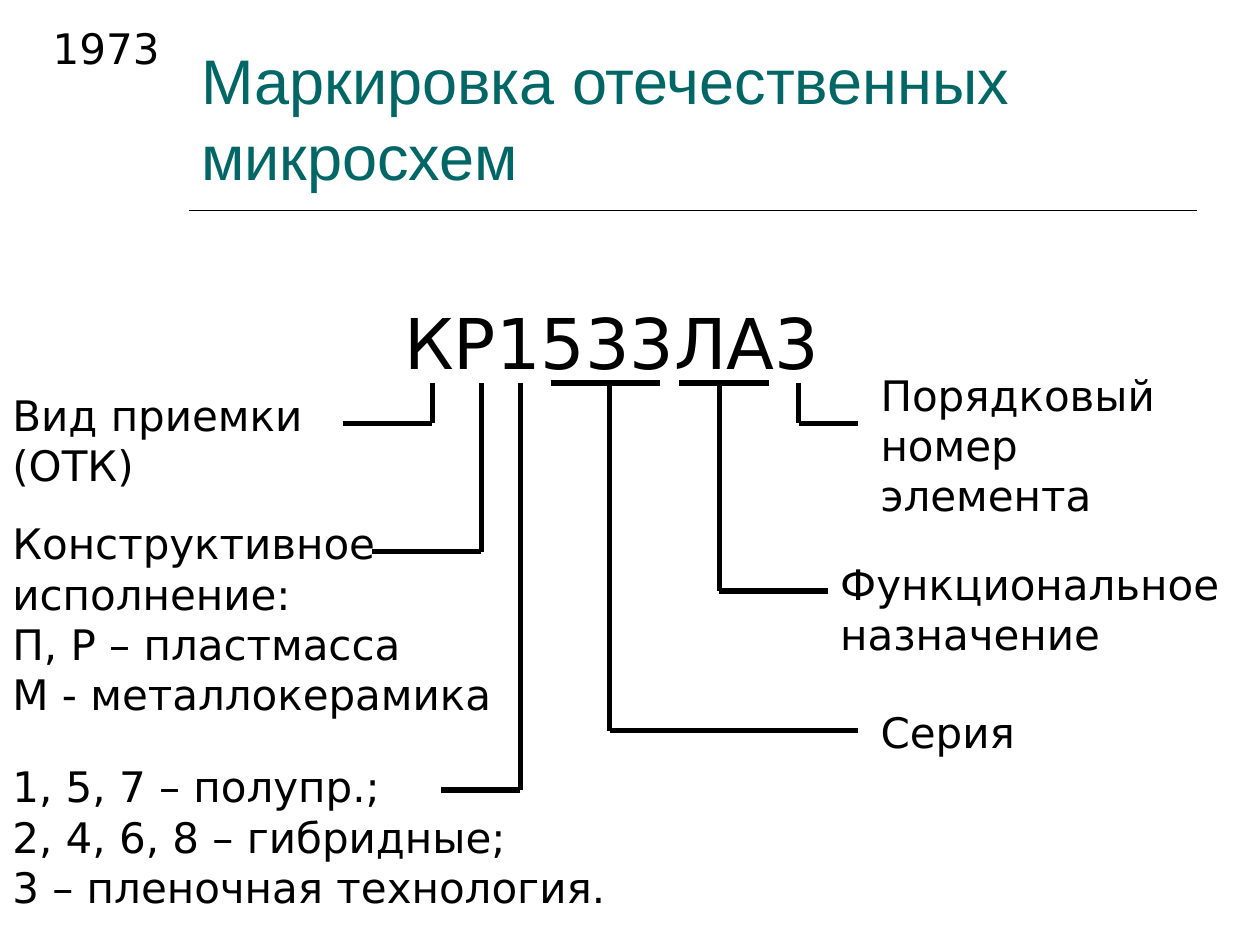
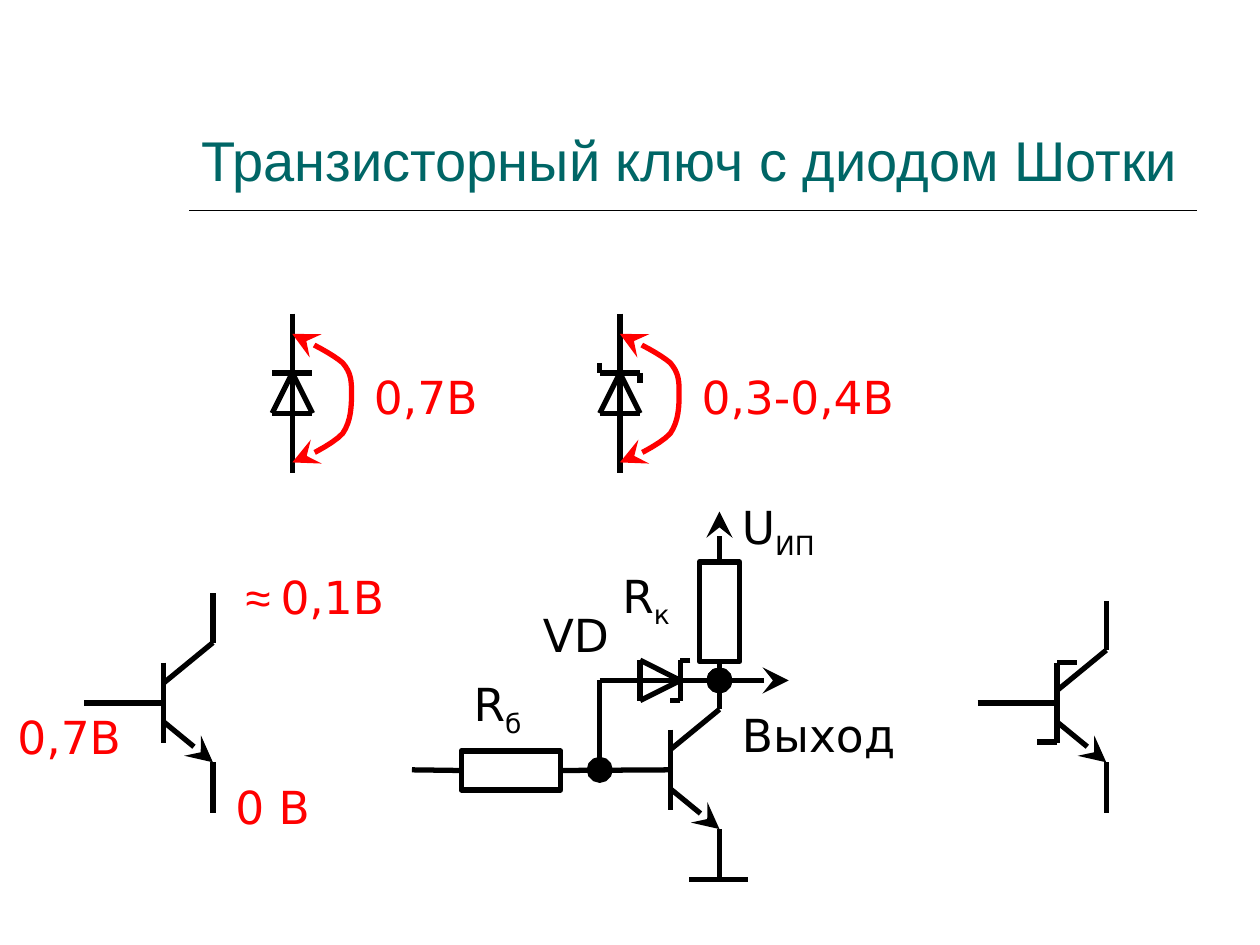
from dataclasses import dataclass
from itertools import pairwise

from lxml.etree import SubElement
from pptx import Presentation
from pptx.dml.color import RGBColor
from pptx.enum.shapes import MSO_CONNECTOR, MSO_SHAPE
from pptx.enum.text import MSO_ANCHOR
from pptx.oxml.ns import qn
from pptx.util import Inches, Pt


@dataclass(frozen=True)
class Theme:
    teal: RGBColor = RGBColor(0, 0x66, 0x66)
    black: RGBColor = RGBColor(0, 0, 0)
    red: RGBColor = RGBColor(0xFF, 0, 0)
    white: RGBColor = RGBColor(0xFF, 0xFF, 0xFF)
    head: str = "Arial"
    body: str = "DejaVu Sans"
    small: int = 18
    note: int = 24
    value: int = 26
    title: int = 36
    code: int = 40
    thin: int = 1
    thick: int = 3


class Deck:
    def __init__(self, theme):
        self.theme = theme
        self.file = Presentation()
        self.file.slide_width, self.file.slide_height = Inches(10), Inches(7.5)

    def page(self, title, size):
        self.slide = self.file.slides.add_slide(self.file.slide_layouts[6])
        self.pen = self.slide.shapes
        self.line((1.5, 1.67), (9.5, 1.67), width=self.theme.thin)
        box = self.text((1.5, 0.33, 8, 1.25), title, size,
                        color=self.theme.teal, name=self.theme.head)
        box.text_frame.vertical_anchor = MSO_ANCHOR.BOTTOM

    def group(self):
        """Send the next elements to a new group."""
        self.pen = self.slide.shapes.add_group_shape().shapes

    def loose(self):
        """Send the next elements straight to the slide."""
        self.pen = self.slide.shapes

    def text(self, area, parts, size, **style):
        """Add a label; parts is a string or a list of (string, format) pairs."""
        box = self.pen.add_textbox(*map(Inches, area))
        box.text_frame.word_wrap = True
        para = box.text_frame.paragraphs[0]
        base = {"size": size, "name": self.theme.body, "color": self.theme.black} | style
        for words, extra in [(parts, {})] if isinstance(parts, str) else parts:
            for row, part in enumerate(words.split("\n")):
                if row:
                    para.add_line_break()
                run = para.add_run()
                run.text = part
                self.font(run, base | extra)
        return box

    def font(self, run, style):
        for key, value in style.items():
            if key == "color":
                run.font.color.rgb = value
            elif key == "base":
                run._r.get_or_add_rPr().set("baseline", str(value * 1000))
            else:
                setattr(run.font, key, Pt(value) if key == "size" else value)

    def stroke(self, shape, color, width, head=None, tail=None):
        shape.line.color.rgb = color
        shape.line.width = Pt(width)
        edge = shape.line._get_or_add_ln()
        for tag, kind in (("a:headEnd", head), ("a:tailEnd", tail)):
            if kind:
                SubElement(edge, qn(tag), type=kind, w="lg", len="lg")

    def line(self, start, end, width=None, join=None, **ends):
        """Draw a line; join is the (shape, side) that its start is tied to."""
        wire = self.pen.add_connector(MSO_CONNECTOR.STRAIGHT,
                                      *map(Inches, (*start, *end)))
        if join:
            wire.begin_connect(*join)
        self.stroke(wire, self.theme.black, width or self.theme.thick, **ends)
        SubElement(wire._element.spPr, qn("a:effectLst"))

    def chain(self, *points):
        for start, end in pairwise(points):
            self.line(start, end)

    def rect(self, *area):
        box = self.pen.add_shape(MSO_SHAPE.RECTANGLE, *map(Inches, area))
        box.shadow.inherit = False
        box.fill.solid()
        box.fill.fore_color.rgb = self.theme.white
        self.stroke(box, self.theme.black, self.theme.thick)
        return box

    def arc(self, x, y):
        """Draw the two-headed voltage arrow beside a diode centred at x, y."""
        knots = [(0, -0.47), (0.16, -0.39), (0.32, -0.31), (0.4, -0.24),
                 (0.47, -0.16), (0.47, -0.09), (0.47, 0), (0.47, 0.09),
                 (0.47, 0.22), (0.4, 0.32), (0.32, 0.41), (0.07, 0.53), (0, 0.55)]
        steps = 8
        curve = [knots[0]]
        for first in range(0, len(knots) - 1, 3):
            quad = knots[first:first + 4]
            for step in range(1, steps + 1):
                t = step / steps
                rates = ((1 - t) ** 3, 3 * t * (1 - t) ** 2, 3 * t * t * (1 - t), t ** 3)
                curve.append(tuple(sum(r * p[axis] for r, p in zip(rates, quad))
                                   for axis in (0, 1)))
        spots = [(Inches(x + dx), Inches(y + dy)) for dx, dy in curve]
        path = self.pen.build_freeform(*spots[0])
        path.add_line_segments(spots[1:], close=False)
        shape = path.convert_to_shape()
        shape.shadow.inherit = False
        shape.fill.background()
        self.stroke(shape, self.theme.red, self.theme.thick, "stealth", "stealth")

    def diode(self, x, y, hooks=False, turn=False):
        """Draw a diode pointing up, or right if turned; hooks make it Schottky."""
        h = 0.16
        strokes = [((-h, -h), (h, -h)), ((-h, h), (h, h)),
                   ((0, -h), (h, h)), ((0, -h), (-h, h))]
        if hooks:
            strokes += [((h, -h), (h, -h / 2)), ((-h, -1.5 * h), (-h, -h))]
        self.group()
        for ends in strokes:
            self.line(*((x - dy, y + dx) if turn else (x + dx, y + dy)
                        for dx, dy in ends))
        self.loose()

    def triode(self, x, y, base=0.63, rise=0.16, top=0.87, hooks=False,
               left=None, above=None):
        """Draw a transistor whose bar is centred at x, y."""
        side = x + 0.39
        self.group()
        self.line((x - base, y), (x, y), join=left)
        self.line((x, y - 0.32), (x, y + 0.32))
        self.line((side, y + 0.47), (x, y + 0.15), head="stealth")
        self.line((x, y - rise), (side, y - rise - 0.32))
        self.line((side, y + 0.47), (side, y + 0.87))
        self.line((side, y - top), (side, y - rise - 0.32), join=above)
        if hooks:
            self.line((x, y + 0.31), (x - 0.16, y + 0.31))
            self.line((x, y - 0.32), (x + 0.16, y - 0.32))
        self.loose()


def marking(deck):
    theme = deck.theme
    deck.page("Маркировка отечественных микросхем", theme.title)
    deck.text((3.11, 2.33, 4.09, 0.77), "КР1533ЛА3", theme.code)
    notes = [
        ((0.32, 0.13, 2.79, 0.5), "1973"),
        ((0, 3.04, 2.8, 0.9), "Вид приемки (ОТК)"),
        ((0, 4.06, 4.06, 1.7),
         "Конструктивное исполнение:\nП, Р – пластмасса\nМ - металлокерамика"),
        ((0, 5.99, 5.08, 1.3),
         "1, 5, 7 – полупр.;\n2, 4, 6, 8 – гибридные;\n3 – пленочная технология."),
        ((6.89, 2.88, 2.8, 1.3), "Порядковый номер элемента"),
        ((6.57, 4.38, 3.43, 0.9), "Функциональное назначение"),
        ((6.89, 5.56, 2.8, 0.5), "Серия"),
    ]
    for area, words in notes:
        deck.text(area, words, theme.note)
    top = 3.04
    for x, low, end in [(3.43, 3.36, 2.72), (3.82, 4.38, 2.95), (4.13, 6.27, 3.5),
                        (4.84, 5.8, 6.81), (5.71, 4.69, 6.57), (6.34, 3.36, 6.81)]:
        deck.chain((x, top), (x, low), (end, low))
    for left, right in [(4.37, 5.24), (5.39, 6.1)]:
        deck.line((left, top), (right, top))


def switch(deck):
    theme = deck.theme
    deck.page("Транзисторный ключ с диодом Шотки", 32)

    for x, hooks in [(2.32, False), (4.92, True)]:
        deck.line((x, 2.49), (x, 3.75))
        deck.diode(x, 3.12, hooks)
        deck.arc(x, 3.12)

    deck.triode(1.3, 5.58)
    deck.triode(8.39, 5.58, rise=0.1, top=0.81, hooks=True)

    load = deck.rect(5.55, 4.46, 0.32, 0.79)
    feed = deck.rect(3.66, 5.96, 0.79, 0.31)
    deck.triode(5.32, 6.11, base=0.87, top=0.86, left=(feed, 3), above=(load, 2))
    deck.line((3.66, 6.11), (3.27, 6.11), join=(feed, 1))
    deck.line((5.71, 4.46), (5.71, 4.06), join=(load, 0), tail="stealth")
    deck.diode(5.24, 5.4, hooks=True, turn=True)
    deck.line((4.76, 5.4), (5.71, 5.4), tail="oval")
    deck.line((4.76, 5.4), (4.76, 6.11), tail="oval")
    deck.line((6.26, 5.4), (5.71, 5.4), head="stealth", tail="oval")
    deck.line((5.47, 6.98), (5.94, 6.98))

    low = {"base": -25}
    about = [("≈", {"name": theme.head}),
             (" ", {"size": theme.small, "color": theme.black}), ("0,1В", {})]
    for area, parts, color in [
        ((2.87, 2.88, 1.26, 0.54), "0,7В", theme.red),
        ((5.47, 2.88, 1.89, 0.54), "0,3-0,4В", theme.red),
        ((1.77, 6.13, 1.26, 0.54), "0 В", theme.red),
        ((0.04, 5.58, 1.26, 0.54), "0,7В", theme.red),
        ((1.85, 4.47, 1.81, 0.54), about, theme.red),
        ((3.66, 5.32, 0.71, 0.6), [("R", {}), ("б", low)], theme.black),
        ((4.84, 4.46, 0.71, 0.6), [("R", {}), ("к", low)], theme.black),
        ((4.21, 4.77, 0.87, 0.54), "VD", theme.black),
        ((5.79, 5.56, 1.46, 0.54), "Выход", theme.black),
        ((5.79, 3.91, 1.46, 0.6), [("U", {}), ("ИП", low)], theme.black),
    ]:
        deck.text(area, parts, theme.value, color=color)


def main():
    deck = Deck(Theme())
    marking(deck)
    switch(deck)
    deck.file.save("out.pptx")


if __name__ == "__main__":
    main()
